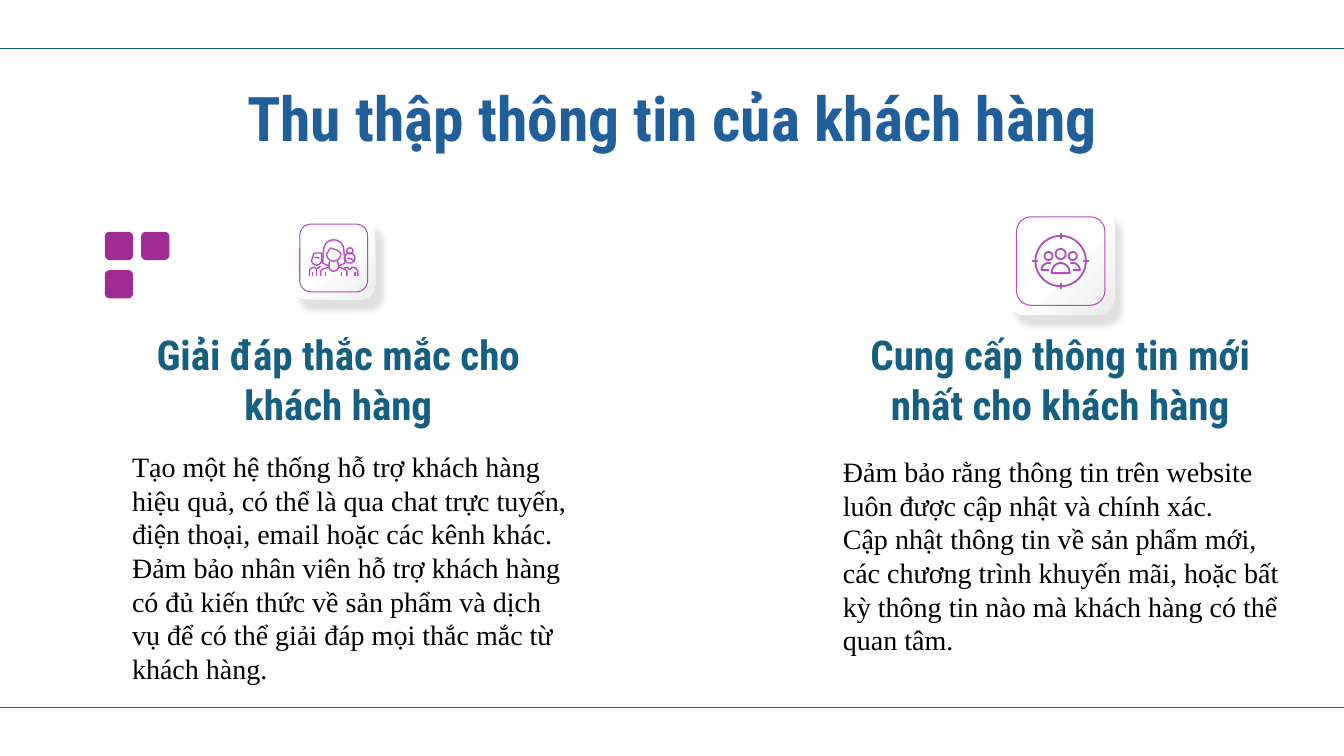
import copy
import math
from dataclasses import dataclass

import pptx
import pptx.dml.color
import pptx.enum.dml
import pptx.enum.shapes
import pptx.enum.text
import pptx.oxml
import pptx.oxml.ns
import pptx.util
from pptx.util import Inches

SHAPE = pptx.enum.shapes.MSO_SHAPE
ANCHOR = pptx.enum.text.MSO_ANCHOR
ALIGN = pptx.enum.text.PP_ALIGN


@dataclass(frozen=True)
class Theme:
    title: str = "215F9A"
    teal: str = "156082"
    body: str = "000000"
    icon: str = "B24EBE"
    square: str = "A02B93"
    tile: tuple = ("FFFFFF", "ECECEC")
    shadow: str = "CCCCCC"
    head_font: str = "Roboto Condensed"
    body_font: str = "Times New Roman"
    title_size: float = 44
    head_size: float = 29.3
    body_size: float = 20
    hairline: float = 0.75


T = Theme()


def rgb(value):
    return pptx.dml.color.RGBColor.from_string(value)


def set_line(shape, color, width):
    shape.line.color.rgb = rgb(color)
    shape.line.width = pptx.util.Pt(width)


def add_text(s, box, texts, font, size, color, bold=False, align=ALIGN.LEFT,
             anchor=ANCHOR.TOP, spacing=None):
    tf = s.shapes.add_textbox(*map(Inches, box)).text_frame
    tf.word_wrap = True
    tf.vertical_anchor = anchor
    tf.margin_left = tf.margin_right = tf.margin_top = tf.margin_bottom = Inches(0.13)
    for i, text in enumerate(texts):
        p = tf.paragraphs[0] if i == 0 else tf.add_paragraph()
        p.text = text
        p.alignment = align
        p.line_spacing = spacing
        p.font.name = font
        p.font.size = pptx.util.Pt(size)
        p.font.bold = bold
        p.font.color.rgb = rgb(color)


def add_rule(s, y, width):
    cn = s.shapes.add_connector(pptx.enum.shapes.MSO_CONNECTOR.STRAIGHT,
                                0, Inches(y), width, Inches(y))
    set_line(cn, T.teal, T.hairline)
    cn._element.spPr.append(pptx.oxml.parse_xml(
        f'<a:effectLst {pptx.oxml.ns.nsdecls("a")}/>'))


def add_round(s, x, y, size):
    sp = s.shapes.add_shape(SHAPE.ROUNDED_RECTANGLE, *map(Inches, (x, y, size, size)))
    sp.shadow.inherit = False
    return sp


def add_tile(s, cx, cy, size):
    sp = add_round(s, cx - size / 2, cy - size / 2, size)
    sp.line.fill.background()
    sp.fill.gradient()
    sp.fill.gradient_angle = 315
    stops = sp.fill.gradient_stops
    for stop, color, position in zip(stops, T.tile, (0, 1)):
        stop.color.rgb = rgb(color)
        stop.position = position
    first = sp._element.spPr.find(".//" + pptx.oxml.ns.qn("a:gs"))
    middle = copy.deepcopy(first)
    middle.set("pos", "50000")
    first.addnext(middle)
    sp._element.spPr.find(pptx.oxml.ns.qn("a:effectLst")).append(pptx.oxml.parse_xml(
        f'<a:outerShdw {pptx.oxml.ns.nsdecls("a")} blurRad="57150" dist="124460" '
        f'dir="3300000" algn="tl" rotWithShape="0"><a:srgbClr val="{T.shadow}">'
        '<a:alpha val="60000"/></a:srgbClr></a:outerShdw>'))
    inner = size * 0.82
    frame = add_round(s, cx - inner / 2, cy - inner / 2, inner)
    frame.fill.background()
    set_line(frame, T.icon, T.hairline)


def arc(cx, cy, rx, ry, start, end, steps=24):
    angles = [math.radians(start + (end - start) * i / steps) for i in range(steps + 1)]
    return [(cx + rx * math.cos(a), cy + ry * math.sin(a)) for a in angles]


def circle(cx, cy, r):
    return arc(cx, cy, r, r, 0, 360, 48)


def mirror(points):
    return [(-x, y) for x, y in points]


def draw_strokes(s, cx, cy, strokes, width):
    for stroke in strokes:
        points = [(Inches(cx + x), Inches(cy + y)) for x, y in stroke]
        fb = s.shapes.build_freeform(*points[0])
        fb.add_line_segments(points[1:], close=points[0] == points[-1])
        sp = fb.convert_to_shape()
        sp.shadow.inherit = False
        sp.fill.background()
        set_line(sp, T.icon, width)


def audience_icon(s, cx, cy):
    shoulder = [(0.12, 0.09)] + arc(0.12, 0.09, 0.07, 0.07, 250, 360) + [(0.12, 0.09)]
    ticks = [[(0.22 * dx, 0.22 * dy), (0.28 * dx, 0.28 * dy)]
             for dx, dy in ((1, 0), (-1, 0), (0, 1), (0, -1))]
    torso = arc(0, 0.12, 0.09, 0.1, 180, 360)
    strokes = [circle(0, 0, 0.25), circle(0, -0.07, 0.05), torso + torso[:1],
               circle(0.12, -0.05, 0.04), circle(-0.12, -0.05, 0.04),
               shoulder[1:], mirror(shoulder[1:]),
               [(0.12, 0.09), (0.19, 0.09)], [(-0.12, 0.09), (-0.19, 0.09)]]
    draw_strokes(s, cx, cy, strokes + ticks, 1.3)


def team_icon(s, cx, cy):
    hair = [(-0.04, 0.08), (-0.07, 0.07), (-0.11, 0.05)]
    sleeve = [(-0.05, 0.09), (-0.11, 0.11), (-0.13, 0.13), (-0.13, 0.18)]
    woman = [hair + arc(0, -0.08, 0.1, 0.1, 180, 360) + mirror(hair)[::-1],
             arc(0, -0.04, 0.07, 0.07, 0, 180) + [(-0.04, -0.09)],
             [(-0.04, -0.1), (0.03, -0.08), (0.07, -0.05), (0.07, -0.04)],
             [(0.04, 0.03)] + arc(0, 0.08, 0.05, 0.05, 0, 180) + [(-0.04, 0.03)],
             sleeve, mirror(sleeve)]
    man = [[(-0.21, 0), (-0.2, -0.04), (-0.18, -0.05), (-0.12, -0.05)]
           + arc(-0.17, 0.02, 0.05, 0.05, 0, 180) + [(-0.21, 0)],
           [(-0.19, -0.01), (-0.14, 0)],
           [(-0.24, 0.18), (-0.24, 0.12), (-0.22, 0.1), (-0.19, 0.09),
            (-0.17, 0.11), (-0.14, 0.09), (-0.13, 0.08)],
           [(-0.17, 0.11), (-0.17, 0.18)]]
    girl = [circle(0.16, 0, 0.05), circle(0.16, -0.07, 0.03),
            [(0.14, 0.01), (0.15, 0), (0.21, 0.03)],
            [(0.1, 0.1), (0.14, 0.09)] + arc(0.16, 0.09, 0.02, 0.02, 180, 0)
            + [(0.22, 0.1), (0.24, 0.13), (0.24, 0.18)]]
    arms = [[(x, 0.14), (x, 0.18)] for x in (-0.21, -0.08, 0.08, 0.21)]
    draw_strokes(s, cx, cy, woman + man + girl + arms, 1)


def add_squares(s, left, top):
    for col, row in ((0, 1), (0, 0), (1, 0)):
        sp = add_round(s, left + 0.36 * col, top + 0.38 * row, 0.28)
        sp.fill.solid()
        sp.fill.fore_color.rgb = rgb(T.square)
        sp.line.fill.background()


def add_column(s, left, heading, body, body_at, tile, icon):
    add_text(s, (left, 3.29, 4.57, 1.09), [heading], T.head_font, T.head_size, T.teal,
             True, ALIGN.CENTER, ANCHOR.BOTTOM)
    add_text(s, (*body_at, 4.66, 2.58), body, T.body_font, T.body_size, T.body)
    add_tile(s, *tile)
    icon(s, *tile[:2])


def main():
    prs = pptx.Presentation()
    prs.slide_width, prs.slide_height = Inches(13.33), Inches(7.5)
    s = prs.slides.add_slide(prs.slide_layouts[6])
    for y in (0.48, 7.02):
        add_rule(s, y, prs.slide_width)
    add_text(s, (1.31, 0.75, 10.72, 0.78), ["Thu thập thông tin của khách hàng"],
             T.head_font, T.title_size, T.title, True, ALIGN.CENTER, spacing=0.9)
    add_squares(s, 1.04, 2.3)
    add_column(s, 1.07, "Giải đáp thắc mắc cho khách hàng", [
        "Tạo một hệ thống hỗ trợ khách hàng hiệu quả, có thể là qua chat trực tuyến, "
        "điện thoại, email hoặc các kênh khác.",
        "Đảm bảo nhân viên hỗ trợ khách hàng có đủ kiến thức về sản phẩm và dịch vụ "
        "để có thể giải đáp mọi thắc mắc từ khách hàng.",
    ], (1.18, 4.33), (3.31, 2.56, 0.82), team_icon)
    add_column(s, 8.23, "Cung cấp thông tin mới nhất cho khách hàng", [
        "Đảm bảo rằng thông tin trên website luôn được cập nhật và chính xác.",
        "Cập nhật thông tin về sản phẩm mới, các chương trình khuyến mãi, hoặc bất kỳ "
        "thông tin nào mà khách hàng có thể quan tâm.",
    ], (8.23, 4.38), (10.52, 2.59, 1.07), audience_icon)
    prs.save("out.pptx")


if __name__ == "__main__":
    main()
